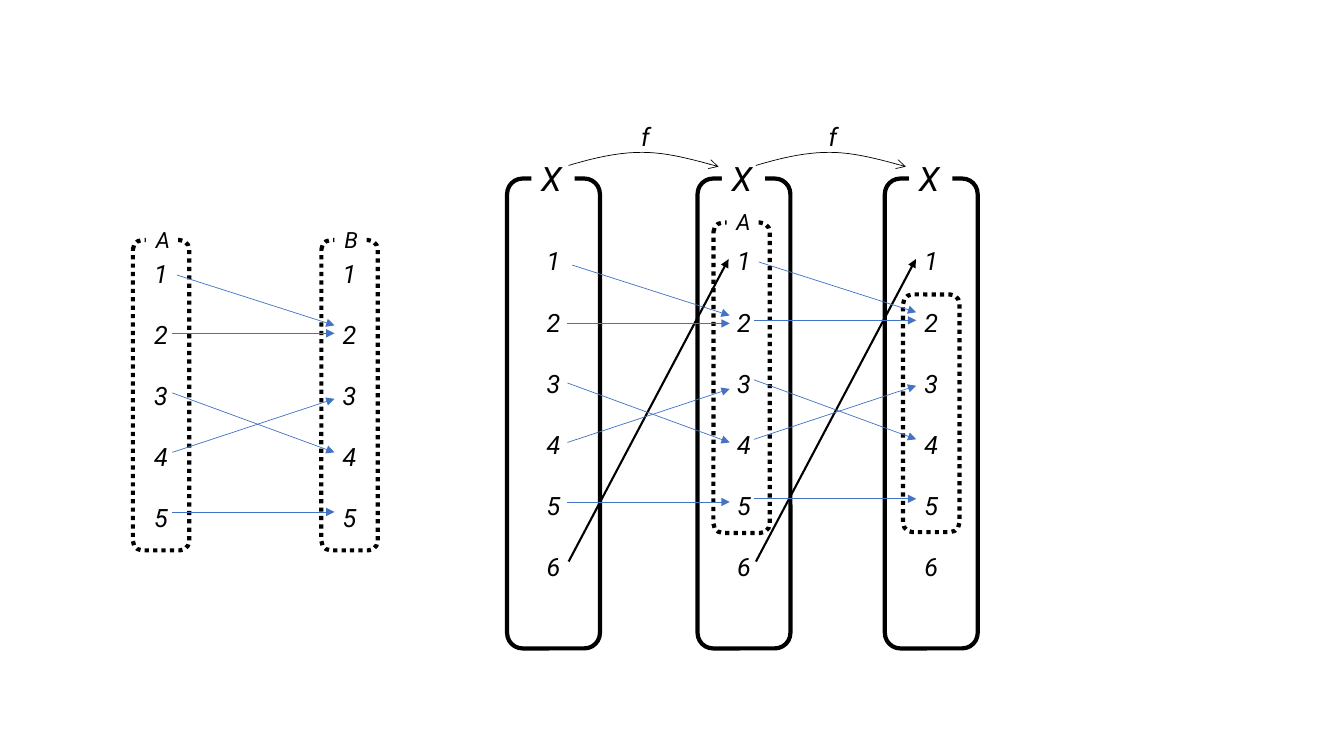
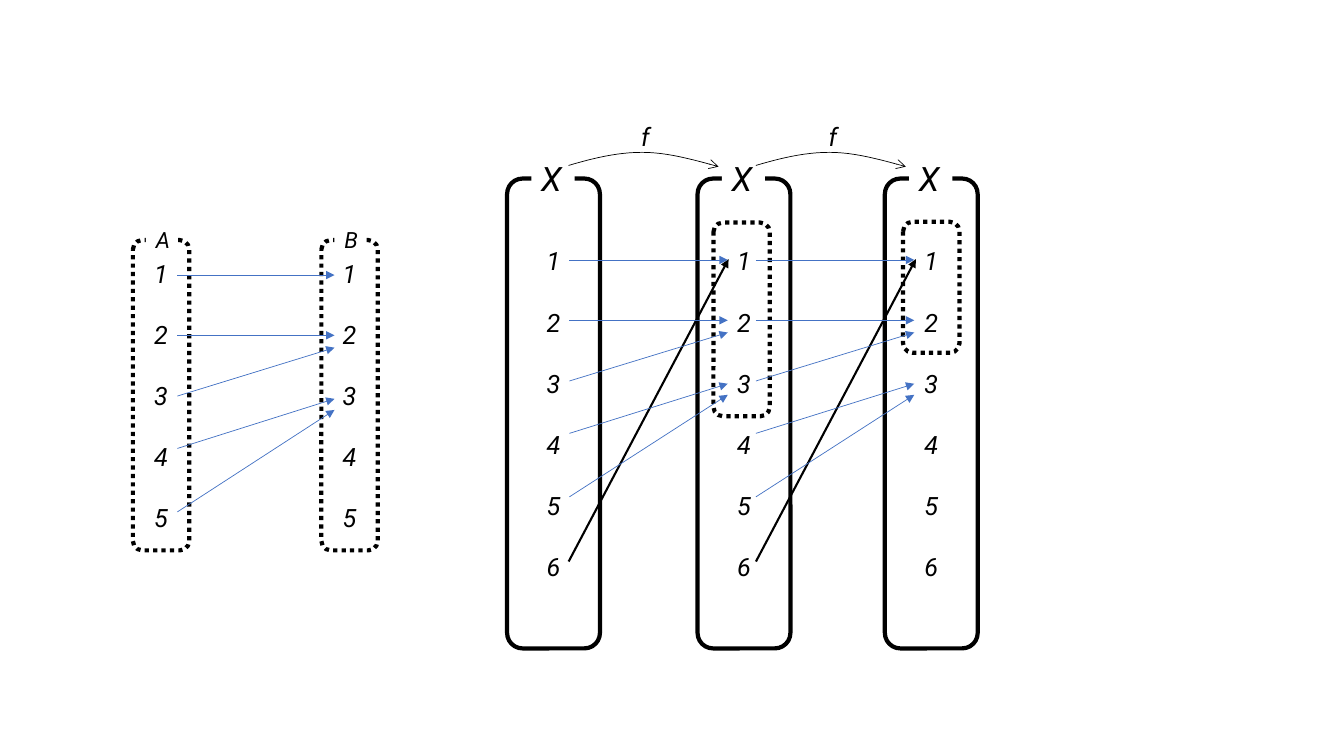
import pptx
import pptx.dml.color
import pptx.enum.dml
import pptx.enum.shapes
import pptx.enum.text
import pptx.oxml
import pptx.oxml.ns
import pptx.util

Cm = pptx.util.Cm
Pt = pptx.util.Pt
SHAPES = pptx.enum.shapes.MSO_SHAPE
ALIGN = pptx.enum.text.PP_ALIGN

COLORS = {"ink": "000000", "paper": "FFFFFF", "mapping": "4472C4"}
FONT = "Roboto"

# Sizes in centimetres
SET_WIDTH, SET_HEIGHT = 1.42, 7.82
COLUMN_LEFTS, COLUMN_TOP = (12.78, 17.58, 22.3), 4.5
COLUMN_WIDTH, COLUMN_HEIGHT = 2.34, 11.84
STEP_LEFTS = (14.33, 19.05)

# Each slide: subsets as (column, dx, dy, height, label) from the column corner,
# mapping boxes as (left, top, width), arrows as (inset, start y, end y) in the box
SLIDES = [
    {
        "subsets": [(1, 0.4, 1.11, 7.82, "A"), (2, 0.46, 2.92, 5.99, None)],
        "mappings": [(4.34, 6.93, 4.09), (14.3, 6.68, 4.09), (19, 6.6, 4.09)],
        "arrows": [(0.12, 0, 1.27), (0, 1.47, 1.47), (0, 2.97, 4.47),
                   (0, 4.47, 3.12), (0, 5.97, 5.97)],
    },
    {
        "subsets": [(1, 0.4, 1.11, 4.88, None), (2, 0.46, 1.09, 3.3, None)],
        "mappings": [(4.47, 6.93, 3.96), (14.35, 6.55, 3.99), (19.05, 6.55, 3.99)],
        "arrows": [(0, 0, 0), (0, 1.52, 1.52), (0, 3.05, 1.83),
                   (0, 4.37, 3.12), (0, 5.97, 3.4)],
    },
]


def rgb(name):
    return pptx.dml.color.RGBColor.from_string(COLORS[name])


def style_line(line, color, width, head=None):
    line.color.rgb = rgb(color)
    line.width = Pt(width)
    if head:
        end = pptx.oxml.parse_xml(
            f'<a:tailEnd {pptx.oxml.ns.nsdecls("a")} type="{head}"/>')
        line._get_or_add_ln().append(end)


def style_text(paragraph, text, size, alignment):
    paragraph.text = text
    paragraph.alignment = alignment
    paragraph.font.name = FONT
    paragraph.font.size = Pt(size)
    paragraph.font.italic = True
    paragraph.font.color.rgb = rgb("ink")


def draw_arrow(slide, start, end, color, width):
    connector = slide.shapes.add_connector(
        pptx.enum.shapes.MSO_CONNECTOR.STRAIGHT, *map(Cm, start + end))
    style_line(connector.line, color, width, "triangle")
    connector._element.spPr.append(
        pptx.oxml.parse_xml(f'<a:effectLst {pptx.oxml.ns.nsdecls("a")}/>'))


def draw_label(slide, text, left, top, width, height, size, filled=True):
    """Write one letter, on a patch that interrupts the outline below it."""
    box = (Cm(left), Cm(top), Cm(width), Cm(height))
    if filled:
        shape = slide.shapes.add_shape(SHAPES.RECTANGLE, *box)
        shape.shadow.inherit = False
        shape.fill.solid()
        shape.fill.fore_color.rgb = rgb("paper")
        shape.line.fill.background()
    else:
        shape = slide.shapes.add_textbox(*box)
    frame = shape.text_frame
    frame.word_wrap = False
    frame.auto_size = pptx.enum.text.MSO_AUTO_SIZE.SHAPE_TO_FIT_TEXT
    frame.vertical_anchor = pptx.enum.text.MSO_ANCHOR.TOP
    style_text(frame.paragraphs[0], text, size, ALIGN.LEFT)


def draw_outline(slide, left, top, width, height, count=0, dotted=False):
    """Draw a rounded outline holding the numbers 1 to count."""
    shape = slide.shapes.add_shape(
        SHAPES.ROUNDED_RECTANGLE, Cm(left), Cm(top), Cm(width), Cm(height))
    shape.shadow.inherit = False
    shape.fill.background()
    style_line(shape.line, "ink", 3)
    if dotted:
        shape.line.dash_style = pptx.enum.dml.MSO_LINE.ROUND_DOT
    frame = shape.text_frame
    frame.vertical_anchor = pptx.enum.text.MSO_ANCHOR.MIDDLE
    for number in range(1, count + 1):
        paragraph = frame.paragraphs[0] if number == 1 else frame.add_paragraph()
        style_text(paragraph, str(number), 18, ALIGN.CENTER)
        if number > 1:
            paragraph.space_before = Pt(22)


def draw_set(slide, left, top, height, label=None, count=0):
    draw_outline(slide, left, top, SET_WIDTH, height, count, dotted=True)
    if label:
        draw_label(slide, label, left + 0.33, top - 0.48, 0.79, 0.94, 16)


def draw_column(slide, left, top):
    draw_outline(slide, left, top, COLUMN_WIDTH, COLUMN_HEIGHT, count=6)
    draw_label(slide, "X", left + 0.61, top - 0.64, 1.09, 1.27, 24)


def draw_step(slide, left, top):
    """Draw the curved arrow f and the arrow from 6 back to 1."""
    # Curve: two cubic pieces that meet at the crest
    pieces = [
        [(0, 0.33), (0.61, 0.15), (1.22, 0), (1.85, 0)],
        [(1.85, 0), (2.49, 0), (3.12, 0.18), (3.78, 0.36)],
    ]
    points = []
    for piece in pieces:
        for index in range(13):
            t = index / 12
            weights = ((1 - t) ** 3, 3 * t * (1 - t) ** 2, 3 * t * t * (1 - t), t ** 3)
            x, y = (sum(w * p[axis] for w, p in zip(weights, piece)) for axis in (0, 1))
            points.append((Cm(left + x), Cm(top + y)))
    builder = slide.shapes.build_freeform(*points[0])
    builder.add_line_segments(points[1:], close=False)
    curve = builder.convert_to_shape()
    curve.shadow.inherit = False
    curve.fill.background()
    style_line(curve.line, "ink", 0.5, "arrow")

    draw_label(slide, "f", left + 1.58, top - 0.92, 0.94, 1.02, 18, filled=False)
    draw_arrow(slide, (left, top + 10.31), (left + 4.03, top + 2.69), "ink", 1.5)


def draw_mapping(slide, left, top, width, arrows):
    for inset, start_y, end_y in arrows:
        draw_arrow(slide, (left + inset, top + start_y), (left + width, top + end_y),
                   "mapping", 0.5)


def build_slide(presentation, content):
    slide = presentation.slides.add_slide(presentation.slide_layouts[6])
    # Sets A and B
    for label, left in (("A", 3.35), ("B", 8.1)):
        draw_set(slide, left, 6.05, SET_HEIGHT, label, count=5)
    # Columns X and the steps between them
    for left in COLUMN_LEFTS:
        draw_column(slide, left, COLUMN_TOP)
    for left in STEP_LEFTS:
        draw_step(slide, left, 3.84)
    # Subsets inside the columns
    for column, dx, dy, height, label in content["subsets"]:
        draw_set(slide, COLUMN_LEFTS[column] + dx, COLUMN_TOP + dy, height, label)
    # Mapping arrows
    for box in content["mappings"]:
        draw_mapping(slide, *box, content["arrows"])


def main():
    presentation = pptx.Presentation()
    presentation.slide_width = Cm(33.87)
    presentation.slide_height = Cm(19.05)
    for content in SLIDES:
        build_slide(presentation, content)
    presentation.save("out.pptx")


if __name__ == "__main__":
    main()
